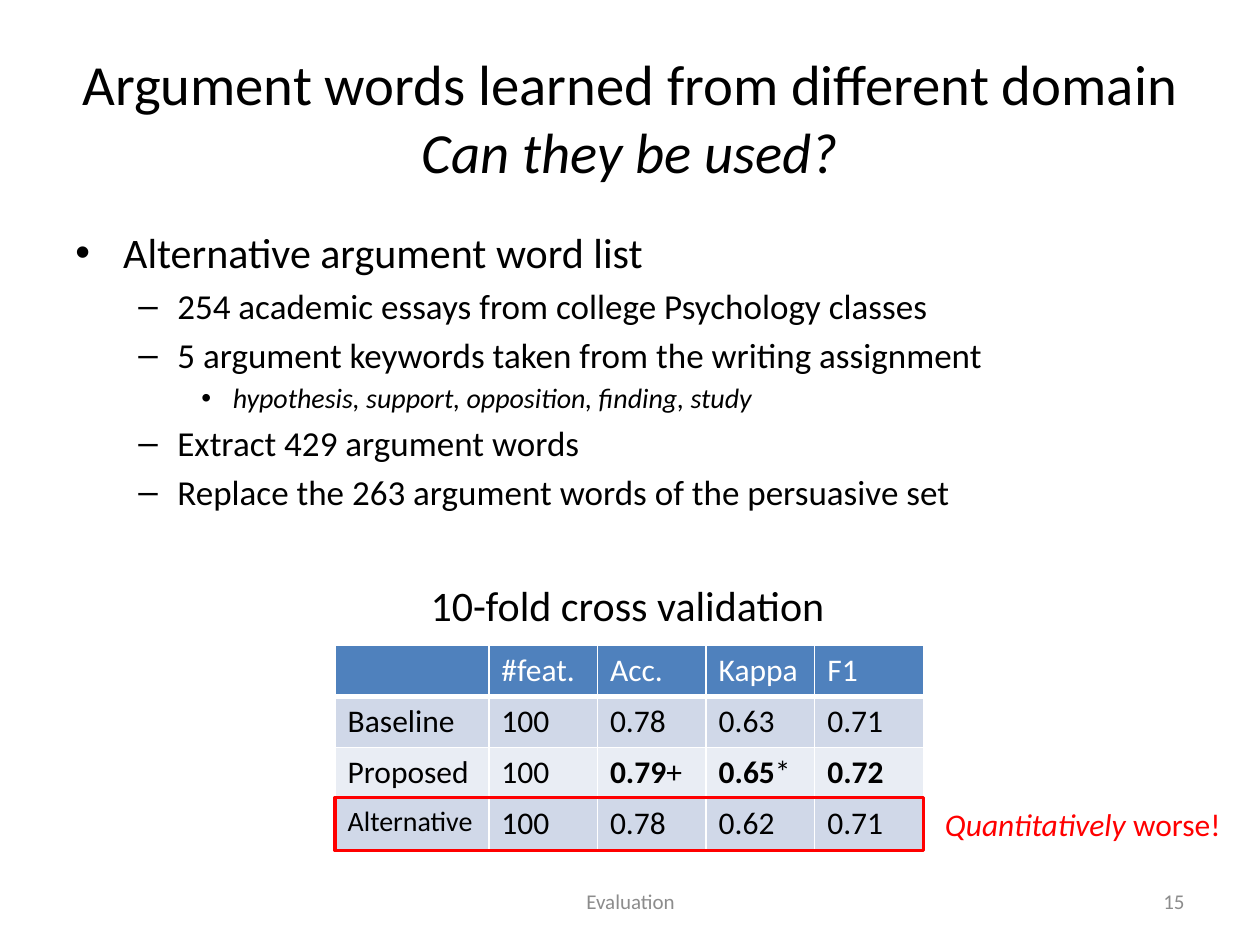
import pptx
import pptx.util
import pptx.dml.color
import pptx.enum.text
import pptx.enum.shapes
import pptx.oxml
import lxml.etree

Pt = pptx.util.Pt
Align = pptx.enum.text.PP_ALIGN
Mid = pptx.enum.text.MSO_ANCHOR.MIDDLE
NS = "http://schemas.openxmlformats.org/drawingml/2006/main"


def tint(code):
    return pptx.dml.color.RGBColor.from_string(code)


def write(para, parts, size, ink="000000", align=Align.LEFT):
    para.alignment = align
    for words, form in parts:
        if words == "\n":
            para.add_line_break()
            continue
        run = para.add_run()
        run.text = words
        run.font.color.rgb = tint(ink)
        for key, val in {"name": "Calibri", "size": Pt(size), **form}.items():
            setattr(run.font, key, val)


deck = pptx.Presentation()
deck.slide_width = pptx.util.Inches(10)
deck.slide_height = pptx.util.Inches(7.5)
unit = deck.slide_width / 10
slide = deck.slides.add_slide(deck.slide_layouts[6])
bold, slant = {"bold": True}, {"italic": True}

left, top, wide, high = [int(n * unit) for n in (2.66, 5.12, 4.67, 1.62)]
grid = slide.shapes.add_table(4, 5, left, top, wide, high).table
first = int(1.22 * unit)
for num, col in enumerate(grid.columns):
    col.width = (wide - first) // 4 if num else first

rows = [
    ["", "#feat.", "Acc.", "Kappa", "F1"],
    ["Baseline", "100", "0.78", "0.63", "0.71"],
    ["Proposed", "100", [("0.79", bold), ("+", {})],
     [("0.65", bold), ("*", {})], [("0.72", bold)]],
    [[("Alternative", {"size": Pt(16)})], "100", "0.78", "0.62", "0.71"],
]
fills = ["4F81BD", "D0D8E8", "E9EDF4", "D0D8E8"]
for row, (items, fill) in enumerate(zip(rows, fills)):
    grid.rows[row].height = high // 4
    for col, item in enumerate(items):
        cell = grid.cell(row, col)
        cell.fill.solid()
        cell.fill.fore_color.rgb = tint(fill)
        parts = [(item, {})] if isinstance(item, str) else item
        if item:
            write(cell.text_frame.paragraphs[0], parts, 18,
                  "000000" if row else "FFFFFF")
        for spot, side in enumerate("LRTB"):
            thick = (row, side) in [(0, "B"), (1, "T")]
            edge = pptx.oxml.parse_xml(
                f'<a:ln{side} xmlns:a="{NS}" w="{Pt(3 if thick else 1)}">'
                '<a:solidFill><a:srgbClr val="FFFFFF"/></a:solidFill>'
                f'</a:ln{side}>')
            cell._tc.get_or_add_tcPr().insert(spot, edge)

frame = slide.shapes.add_shape(pptx.enum.shapes.MSO_SHAPE.RECTANGLE,
                               left, int(6.33 * unit), wide, int(0.42 * unit))
frame.shadow.inherit = False
frame.fill.background()
frame.line.color.rgb = tint("FF0000")
frame.line.width = Pt(2)

zero = dict.fromkeys(
    ["margin_left", "margin_right", "margin_top", "margin_bottom"], 0)
center = {"vertical_anchor": Mid}
texts = [
    ((0.5, 0.3, 9, 1.25), center, 32.4, "000000", Align.CENTER,
     [("Argument words learned from different domain", {}), ("\n", {}),
      ("Can they be used?", slant)]),
    ((3.42, 6.95, 3.17, 0.4), center, 12, "8C8C8C", Align.CENTER,
     [("Evaluation", {})]),
    ((7.17, 6.95, 2.33, 0.4), center, 12, "8C8C8C", Align.RIGHT,
     [("15", {})]),
    ((3.32, 4.55, 3.36, 0.5), {"word_wrap": False}, 24, "000000", Align.LEFT,
     [("10-fold cross validation", {})]),
    ((7.5, 6.39, 2.33, 0.3), zero, 18, "FF0000", Align.LEFT,
     [("Quantitatively ", slant), ("worse!", {})]),
]
for place, form, size, ink, align, parts in texts:
    box = slide.shapes.add_textbox(*[int(n * unit) for n in place]).text_frame
    for key, val in {"word_wrap": True, **form}.items():
        setattr(box, key, val)
    write(box.paragraphs[0], parts, size, ink, align)

levels = [(24, 0.38, 0.38, "•", {}), (20, 0.81, 0.31, "–", {}),
          (16, 1.25, 0.25, "•", slant)]
points = [
    (0, "Alternative argument word list"),
    (1, "254 academic essays from college Psychology classes"),
    (1, "5 argument keywords taken from the writing assignment"),
    (2, "hypothesis, support, opposition, finding, study"),
    (1, "Extract 429 argument words"),
    (1, "Replace the 263 argument words of the persuasive set"),
]
body = slide.shapes.add_textbox(
    *[int(n * unit) for n in (0.5, 1.75, 9, 4.95)]).text_frame
body.word_wrap = True
for num, (level, words) in enumerate(points):
    para = body.add_paragraph() if num else body.paragraphs[0]
    size, indent, hang, mark, form = levels[level]
    write(para, [(words, form)], size)
    para.level = level
    para.space_before = Pt(size * 0.2)
    props = para._p.get_or_add_pPr()
    props.set("marL", str(int(indent * unit)))
    props.set("indent", str(int(-hang * unit)))
    font = lxml.etree.SubElement(props, f"{{{NS}}}buFont")
    font.set("typeface", "Arial")
    lxml.etree.SubElement(props, f"{{{NS}}}buChar").set("char", mark)

deck.save("out.pptx")
